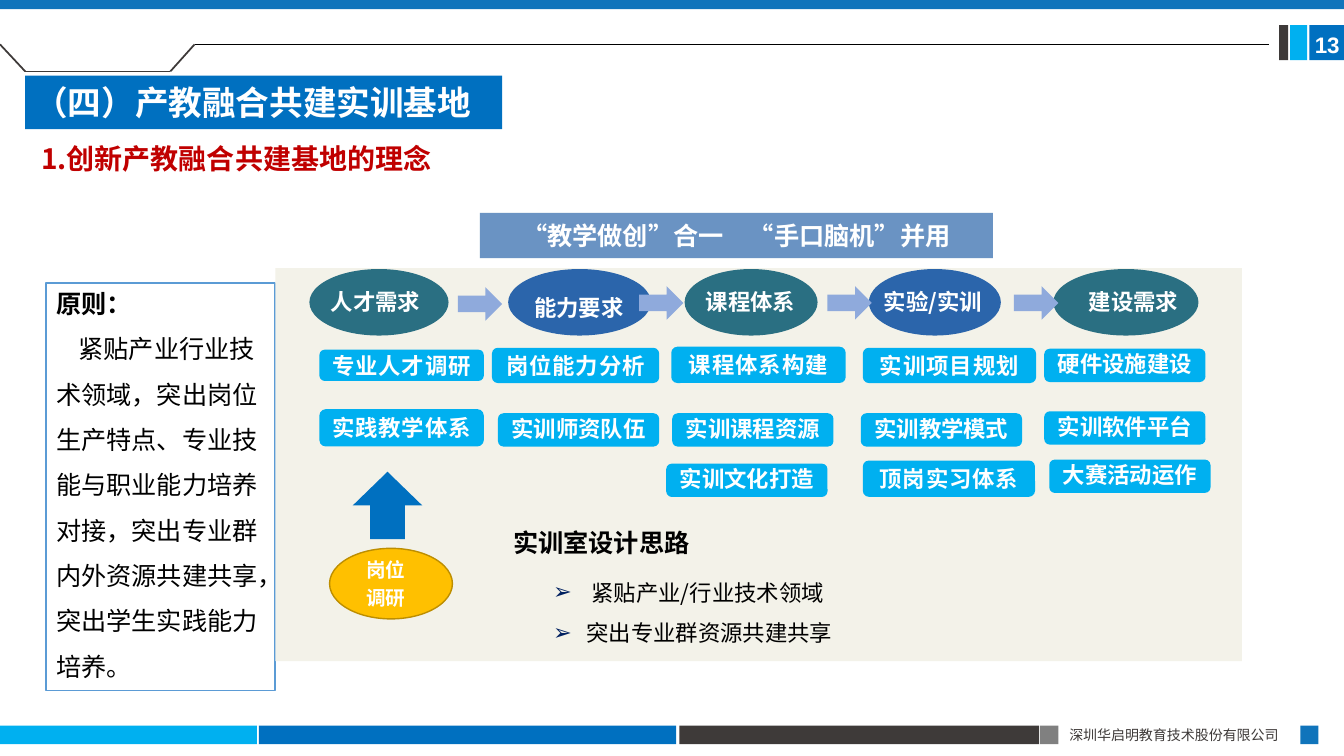
from lxml import etree
from pptx import Presentation
from pptx.dml.color import RGBColor
from pptx.enum import shapes, text
from pptx.oxml import ns
from pptx.util import Pt

CJK = "Noto Sans CJK SC"
WHITE = RGBColor(0xFF, 0xFF, 0xFF)
BLACK = RGBColor(0, 0, 0)
BLUE = RGBColor(0x00, 0x70, 0xC0)
EDGE_BLUE = RGBColor(0x10, 0x74, 0xBB)
CYAN = RGBColor(0x00, 0xB0, 0xF0)
DARK = RGBColor(0x3E, 0x3A, 0x39)
GREY = RGBColor(0x80, 0x80, 0x80)
RED = RGBColor(0xC0, 0x00, 0x00)
FRAME = RGBColor(0x5B, 0x9B, 0xD5)
BANNER = RGBColor(0x45, 0x78, 0xB5)
PANEL = RGBColor(0xF3, 0xF2, 0xE9)
TEAL = RGBColor(0x2A, 0x6F, 0x82)
STAGE_BLUE = RGBColor(0x2B, 0x65, 0xAB)
ARROW = RGBColor(0x8F, 0xAA, 0xDC)
GOLD = RGBColor(0xFF, 0xC0, 0x00)
GOLD_LINE = RGBColor(0xBD, 0x8E, 0x00)

RECT = shapes.MSO_SHAPE.RECTANGLE
OVAL = shapes.MSO_SHAPE.OVAL
ROUND = shapes.MSO_SHAPE.ROUNDED_RECTANGLE
RIGHT_ARROW = shapes.MSO_SHAPE.RIGHT_ARROW
LEFT, CENTER = text.PP_ALIGN.LEFT, text.PP_ALIGN.CENTER
TOP, MIDDLE = text.MSO_ANCHOR.TOP, text.MSO_ANCHOR.MIDDLE

# label, ellipse left and width, colour, label left, top and width
STAGES = [
    ("人才需求", 221, 99.4, TEAL, 229, 195, 78.5),
    ("能力要求", 363, 102, STAGE_BLUE, 370, 199.4, 87),
    ("课程体系", 489, 95, TEAL, 499, 195, 74),
    ("实验/实训", 620.6, 94.3, STAGE_BLUE, 623.5, 195, 85.7),
    ("建设需求", 752.4, 103.7, TEAL, 770.4, 195, 78.5),
]
STAGE_ARROWS = [(327, 205.2), (456.5, 204.5), (591, 204.5), (724.3, 204.5)]
WIDE_CHIPS = [
    ("专业人才调研", 228.2, 249.8, 117.4, 22.3),
    ("岗位能力分析", 351.4, 248.4, 119.5, 25.2),
    ("课程体系构建", 479.5, 247.7, 124.6, 25.9),
    ("实训项目规划", 616.3, 248.4, 123.8, 25.2),
    ("实践教学体系", 228.2, 292.3, 117.4, 26.6),
    ("顶岗实习体系", 616.3, 329, 123, 25.9),
]
CHIPS = [
    ("硬件设施建设", 745.9, 249.1),
    ("实训师资队伍", 355.7, 295.2),
    ("实训课程资源", 480.2, 295.2),
    ("实训教学模式", 614.9, 295.2),
    ("实训软件平台", 745.9, 293.8),
    ("实训文化打造", 475.9, 331.2),
    ("大赛活动运作", 749.5, 328.3),
]
BARS = [
    (0, 518.4, 183.6, 13.2, CYAN),
    (185, 518.4, 298, 13.2, BLUE),
    (485.3, 518.4, 257, 13.2, DARK),
    (743, 518.4, 13, 13.2, GREY),
    (928.8, 518.4, 13, 13.2, EDGE_BLUE),
    (935.3, 18, 24.7, 25, BLUE),
    (921.6, 18, 12.2, 25, CYAN),
    (913.7, 18, 6.5, 25, DARK),
    (0, 0, 960, 6.5, EDGE_BLUE),
]


def add_block(slide, kind, x, y, w, h, fill=None, line=None, width=1):
    sp = slide.shapes.add_shape(kind, Pt(x), Pt(y), Pt(w), Pt(h))
    sp.shadow.inherit = False
    if fill is None:
        sp.fill.background()
    else:
        sp.fill.solid()
        sp.fill.fore_color.rgb = fill
    if line is None:
        sp.line.fill.background()
    else:
        sp.line.color.rgb = line
        sp.line.width = Pt(width)
    return sp


def add_line(slide, start, end, color, width):
    ends = [Pt(v) for v in (*start, *end)]
    line = slide.shapes.add_connector(shapes.MSO_CONNECTOR.STRAIGHT, *ends)
    line.line.color.rgb = color
    line.line.width = Pt(width)
    etree.SubElement(line._element.spPr, ns.qn("a:effectLst"))


def write(sp, content, size, color, bold=True, align=CENTER, anchor=MIDDLE,
          inset=(0, 0), spacing=None, after=0, font=CJK, wrap=True, tracking=0):
    """Fill a shape with text, one paragraph a line, in a single style."""
    tf = sp.text_frame
    tf.text = content
    tf.word_wrap = wrap
    tf.vertical_anchor = anchor
    tf.margin_left = tf.margin_right = Pt(inset[0])
    tf.margin_top = tf.margin_bottom = Pt(inset[1])
    for p in tf.paragraphs:
        p.alignment = align
        p.space_after = Pt(after)
        if spacing:
            p.line_spacing = spacing
        for r in p.runs:
            r.font.size = Pt(size)
            r.font.bold = bold
            r.font.color.rgb = color
            r.font.name = font
            rpr = r.font._element
            if font == CJK:
                etree.SubElement(rpr, ns.qn("a:ea")).set("typeface", font)
            if tracking:
                rpr.set("spc", str(round(tracking * 100)))
    return tf


def add_label(slide, x, y, w, h, content, size, color, **style):
    box = slide.shapes.add_textbox(Pt(x), Pt(y), Pt(w), Pt(h))
    return write(box, content, size, color, **style)


def add_bullet(p, indent):
    ppr = p._p.get_or_add_pPr()
    ppr.set("marL", str(Pt(indent)))
    ppr.set("indent", str(-Pt(indent)))
    color = etree.SubElement(ppr, ns.qn("a:buClr"))
    etree.SubElement(color, ns.qn("a:srgbClr")).set("val", "002060")
    etree.SubElement(ppr, ns.qn("a:buFont")).set("typeface", "Arial")
    etree.SubElement(ppr, ns.qn("a:buChar")).set("char", "➢")


def add_frame(slide):
    """Header and footer strips, header outline and page number."""
    for *place, color in BARS:
        add_block(slide, RECT, *place, color)
    notch = [(0, 31.7), (18, 51), (121.7, 51), (139, 31.7)]
    for start, end in zip(notch, notch[1:]):
        add_line(slide, start, end, DARK, 1.25)
    add_line(slide, notch[-1], (906.5, 31.7), BLACK, 0.5)
    add_label(slide, 756.7, 515.5, 172.8, 19.4, "深圳华启明教育技术股份有限公司", 10,
              DARK, bold=False, align=LEFT, anchor=TOP, inset=(7.2, 3.6))
    add_label(slide, 936, 18.7, 24, 26.6, "13", 16, WHITE, font="Arial")


def add_headings(slide):
    title = slide.shapes.title
    title.left, title.top, title.width, title.height = Pt(18), Pt(54), Pt(340.6), Pt(38.2)
    title.fill.solid()
    title.fill.fore_color.rgb = BLUE
    write(title, "（四）产教融合共建实训基地", 24, WHITE, align=LEFT, inset=(6.5, 3.6))
    title.text_frame.auto_size = text.MSO_AUTO_SIZE.NONE
    add_label(slide, 22.3, 97.2, 295.2, 31.7, "1.创新产教融合共建基地的理念", 20, RED,
              align=LEFT, anchor=TOP, inset=(7.2, 3.6))


def add_principle(slide):
    box = add_block(slide, RECT, 33, 202.3, 163.5, 291, line=FRAME, width=1.25)
    tf = write(box, "原则：\n紧贴产业行业技术领域，突出岗位生产特点、专业技能与职业能力培养对接，"
               "突出专业群内外资源共建共享，突出学生实践能力培养。", 18, BLACK,
               align=LEFT, anchor=TOP, inset=(7.2, 3.6))
    body = tf.paragraphs[1]
    body.line_spacing = 1.5
    body.runs[0].font.bold = False
    body._p.get_or_add_pPr().set("indent", str(Pt(16)))


def add_stages(slide):
    for _, x, w, color, *_ in STAGES:
        add_block(slide, OVAL, x, 192.2, w, 47.5, color)
    for x, y in STAGE_ARROWS:
        add_block(slide, RIGHT_ARROW, x, y, 31.7, 23.8, ARROW)
    for name, _, _, _, x, y, w in STAGES:
        add_label(slide, x, y, w, 35.3, name, 16, WHITE, spacing=1.3)


def add_chips(slide):
    for name, *place in WIDE_CHIPS:
        write(add_block(slide, ROUND, *place, CYAN), name, 16, WHITE, tracking=0.7)
    for name, x, y in CHIPS:
        chip = add_block(slide, ROUND, x, y, 115.2, 23.8, CYAN)
        write(chip, name, 16, WHITE, spacing=0.9)


def add_survey(slide):
    add_block(slide, OVAL, 235.4, 391.7, 87.8, 50.4, GOLD, GOLD_LINE)
    add_label(slide, 244.8, 400.3, 61.9, 35.3, "岗位\n调研", 14, WHITE, spacing=0.9, after=5)
    arrow = add_block(slide, RIGHT_ARROW, 252.7, 336.2, 48.2, 49.7, BLUE)
    arrow.rotation = 270


def add_design_ideas(slide):
    add_label(slide, 355.7, 371.5, 147.6, 31.7, "实训室设计思路", 18, BLACK,
              anchor=TOP, inset=(10, 5), wrap=False)
    tf = add_label(slide, 385.2, 398.9, 223.2, 64.8, "紧贴产业/行业技术领域\n突出专业群资源共建共享",
                   16, BLACK, bold=False, align=LEFT, anchor=TOP, inset=(10, 5), spacing=1.5)
    for p, indent in zip(tf.paragraphs, (27.4, 23.8)):
        add_bullet(p, indent)


def main():
    prs = Presentation()
    prs.slide_width, prs.slide_height = Pt(960), Pt(540)
    slide = prs.slides.add_slide(prs.slide_layouts[5])
    add_frame(slide)
    add_headings(slide)
    add_principle(slide)
    banner = add_block(slide, RECT, 342.7, 152, 366.5, 32.4, BANNER)
    fill = banner._element.spPr.find(ns.qn("a:solidFill"))
    etree.SubElement(fill[0], ns.qn("a:alpha")).set("val", "80000")
    write(banner, "“教学做创”合一　“手口脑机”并用", 18, WHITE, inset=(10.8, 5))
    add_block(slide, RECT, 196.6, 191.5, 690.5, 280.8, PANEL)
    add_stages(slide)
    add_chips(slide)
    add_survey(slide)
    add_design_ideas(slide)
    prs.save("out.pptx")


if __name__ == "__main__":
    main()
